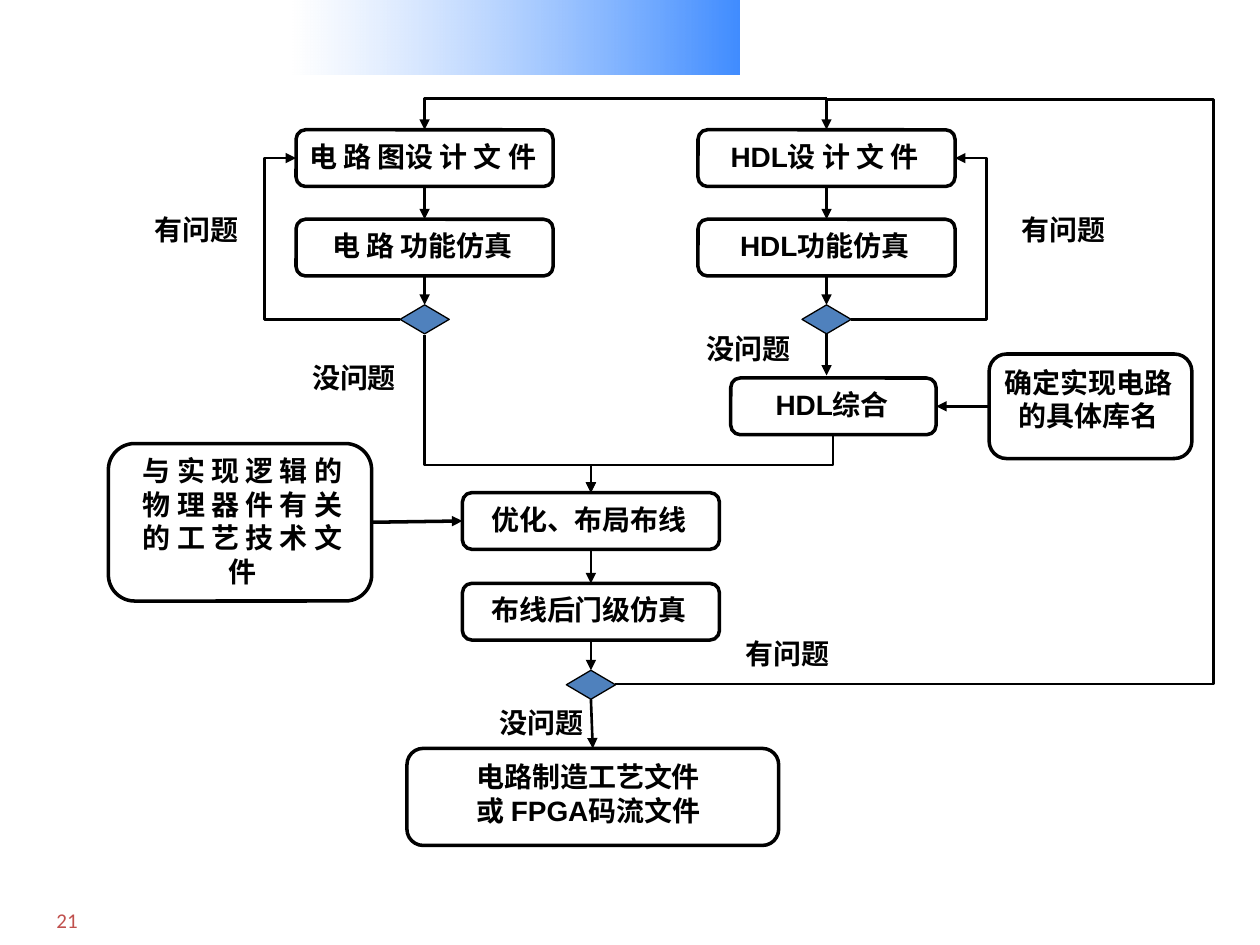
import pptx
import pptx.dml.color
import pptx.enum.shapes
import pptx.enum.text
import pptx.oxml.ns
import pptx.util
from lxml import etree

HUE = {"ink": "000000", "paper": "FFFFFF", "blue": "4F81BD", "band": "0066FF", "red": "C0504D"}
CELL = pptx.util.Inches(0.1)
WIDE, HIGH = 100, 75
KIND = pptx.enum.shapes.MSO_SHAPE
WIRE = pptx.enum.shapes.MSO_CONNECTOR
TOP, LEFT, DOWN, RIGHT = range(4)
ROUND = 0.167
BOX_W, BOX_H = 20.4, 4.5
GEM_W, GEM_H = 3.9, 2.3
PITCH = 7.1
OUT = 2.5
BAD, GOOD = "有问题", "没问题"
tag = pptx.oxml.ns.qn


def size(*cells):
    return [int(cell * CELL) for cell in cells]


def hue(name):
    return pptx.dml.color.RGBColor.from_string(HUE[name])


def write(shape, lines, pads, font="Arial", points=16, color="ink", bold=True, center=True):
    frame = shape.text_frame
    frame.word_wrap = True
    frame.vertical_anchor = pptx.enum.text.MSO_ANCHOR.TOP
    frame.margin_left, frame.margin_top, frame.margin_right, frame.margin_bottom = size(*pads)
    align = pptx.enum.text.PP_ALIGN
    for i, line in enumerate(lines):
        para = frame.add_paragraph() if i else frame.paragraphs[0]
        para.alignment = align.CENTER if center else align.LEFT
        run = para.add_run()
        run.text = line
        run.font.name, run.font.size, run.font.bold = font, pptx.util.Pt(points), bold
        run.font.color.rgb = hue(color)


def draw(slide, kind, box, fill, width=0):
    shape = slide.shapes.add_shape(kind, *size(*box))
    shape.shadow.inherit = False
    shape.fill.solid()
    shape.fill.fore_color.rgb = hue(fill)
    if width:
        shape.line.color.rgb = hue("ink")
        shape.line.width = pptx.util.Pt(width)
    else:
        shape.line.fill.background()
    return shape


def step(slide, box, lines, pads=(0.65, 0.75, 0.95, 0.1)):
    shape = draw(slide, KIND.ROUNDED_RECTANGLE, box, "paper", 2)
    shape.adjustments[0] = ROUND
    trim = min(box[2:]) * ROUND * 0.29
    write(shape, lines, [pad - trim for pad in pads])
    return shape


def gem(slide, mid, top):
    return draw(slide, KIND.DIAMOND, (mid - GEM_W / 2, top, GEM_W, GEM_H), "blue", 0.75)


def label(slide, left, top, text):
    shape = draw(slide, KIND.RECTANGLE, (left, top, 9.4, 3.7), "paper")
    write(shape, [text], (1, 0.5, 1, 0.5))


def style(wire, width=1.5):
    wire.line.color.rgb = hue("ink")
    wire.line.width = pptx.util.Pt(width)
    props = wire.element.spPr
    etree.SubElement(props.find(tag("a:ln")), tag("a:tailEnd"), type="triangle")
    etree.SubElement(props, tag("a:effectLst"))


def arrow(slide, start, end, out=DOWN, into=TOP, width=1.5):
    wire = slide.shapes.add_connector(WIRE.STRAIGHT, 0, 0, 0, 0)
    wire.begin_connect(start, out)
    wire.end_connect(end, into)
    style(wire, width)


def bend(slide, start, end, kind, turns=(), upright=False):
    (ax, ay), (bx, by) = start, end
    if upright:
        midx, midy = (ax + bx) / 2, (ay + by) / 2
        halfx, halfy = (bx - ax) / 2, (by - ay) / 2
        ends = midx - halfy, midy + halfx, midx + halfy, midy - halfx
        spans = [(ay, by)]
    else:
        ends = ax, ay, bx, by
        spans = [(ax, bx), (ay, by)]
    wire = slide.shapes.add_connector(WIRE.ELBOW, *size(*ends))
    props = wire.element.spPr
    if upright:
        props.find(tag("a:xfrm")).set("rot", "5400000")
    geom = props.find(tag("a:prstGeom"))
    geom.set("prst", kind)
    for i, (turn, (low, high)) in enumerate(zip(turns, spans), 1):
        share = round((turn - low) / (high - low) * 100000)
        name = "adj1" if kind == "bentConnector3" else f"adj{i}"
        etree.SubElement(geom.find(tag("a:avLst")), tag("a:gd"), name=name, fmla=f"val {share}")
    style(wire)


def head(slide, box):
    band = draw(slide, KIND.RECTANGLE, box, "band")
    band.fill.gradient()
    band.fill.gradient_angle = 0
    for stop, (name, alpha) in zip(band.fill.gradient_stops, (("paper", 48000), ("band", 75000))):
        stop.color.rgb = hue(name)
    colors = band.element.spPr.iter(tag("a:srgbClr"))
    for color, alpha in zip(list(colors), (48000, 75000)):
        etree.SubElement(color, tag("a:alpha"), val=str(alpha))


def foot(slide, box):
    number = slide.shapes.add_textbox(*size(*box))
    write(number, ["21"], (1, 0.5, 0, 0.5), "Calibri", 12, "red", False, False)


def branch(slide, left, top, names, side, note):
    mid = left + BOX_W / 2
    label(slide, note, top + 6.1, BAD)
    file, test = [step(slide, (left, top + i * PITCH, BOX_W, BOX_H), [name])
                  for i, name in enumerate(names)]
    check = gem(slide, mid, top + 13.9)
    arrow(slide, file, test)
    arrow(slide, test, check)
    edge = mid + side * BOX_W / 2
    start = mid + side * GEM_W / 2, top + 13.9 + GEM_H / 2
    bend(slide, start, (edge, top + BOX_H / 2), "bentConnector3", [edge + side * OUT])
    return check


def synth(slide, left, top, check):
    label(slide, left - 3.3, top - 4.2, GOOD)
    tool = step(slide, (left, top, 16.3, BOX_H), ["HDL综合"], (0.5, 0.75, 0.7, 0.1))
    store = step(slide, (left + 20.5, top - 1.9, 16.1, 8.3), ["确定实现电路的具体库名"],
                 (0.7, 0.9, 1, 0.1))
    arrow(slide, store, tool, LEFT, RIGHT)
    wire = slide.shapes.add_connector(WIRE.STRAIGHT, 0, 0, *size(left + 7.6, top - 0.2))
    wire.begin_connect(check, DOWN)
    style(wire)


def layout(slide, left, top):
    mid = left + BOX_W / 2
    label(slide, left + 1.6, top + 16.4, GOOD)
    label(slide, left + 21.1, top + 10.9, BAD)
    place, test = [step(slide, (left, top + i * 7.2, BOX_W, BOX_H), [name])
                   for i, name in enumerate(("优化、布局布线", "布线后门级仿真"))]
    check = gem(slide, mid, top + 14.1)
    final = step(slide, (left - 4.4, top + 20.3, 29.5, 7.7),
                 ["电路制造工艺文件", "或 FPGA码流文件"], (0.9, 0.9, 1.6, 0.1))
    rules = step(slide, (left - 28.1, top - 3.9, 20.9, 12.5),
                 ["与 实 现 逻 辑 的 物 理 器 件 有 关 的 工 艺 技 术 文 件"], (1.7, 0.8, 1.3, 0.1))
    arrow(slide, rules, place, RIGHT, LEFT, 2)
    for start, end in ((place, test), (test, check), (check, final)):
        arrow(slide, start, end)


def links(slide, plan, code, back):
    join = back[0] + BOX_W / 2, back[1]
    first, second = [(spot[0] + BOX_W / 2, spot[1]) for spot in (plan, code)]
    for start in ((first[0], first[1] + 16.3), (66.1, 34.6)):
        bend(slide, start, join, "bentConnector3", [36.9], True)
    exit = join[0] + GEM_W / 2, join[1] + 15.2
    bend(slide, exit, second, "bentConnector4", [96.3, 7.9])
    bend(slide, (second[0], 7.8), first, "bentConnector2")


def main():
    deck = pptx.Presentation()
    deck.slide_width, deck.slide_height = size(WIDE, HIGH)
    slide = deck.slides.add_slide(deck.slide_layouts[6])
    plan, code, back = (23.5, 10.3), (55.4, 10.3), (36.7, 39.1)
    head(slide, (23.2, 0, 35.5, 5.9))
    foot(slide, (3.5, 71.5, 4.7, 3))
    label(slide, 23.4, 28.1, GOOD)
    branch(slide, *plan, ("电 路 图设 计 文 件", "电 路 功能仿真"), -1, 10.9)
    check = branch(slide, *code, ("HDL设 计 文 件", "HDL功能仿真"), 1, 79.7)
    synth(slide, 58, 30, check)
    layout(slide, *back)
    links(slide, plan, code, back)
    deck.save("out.pptx")


if __name__ == "__main__":
    main()
